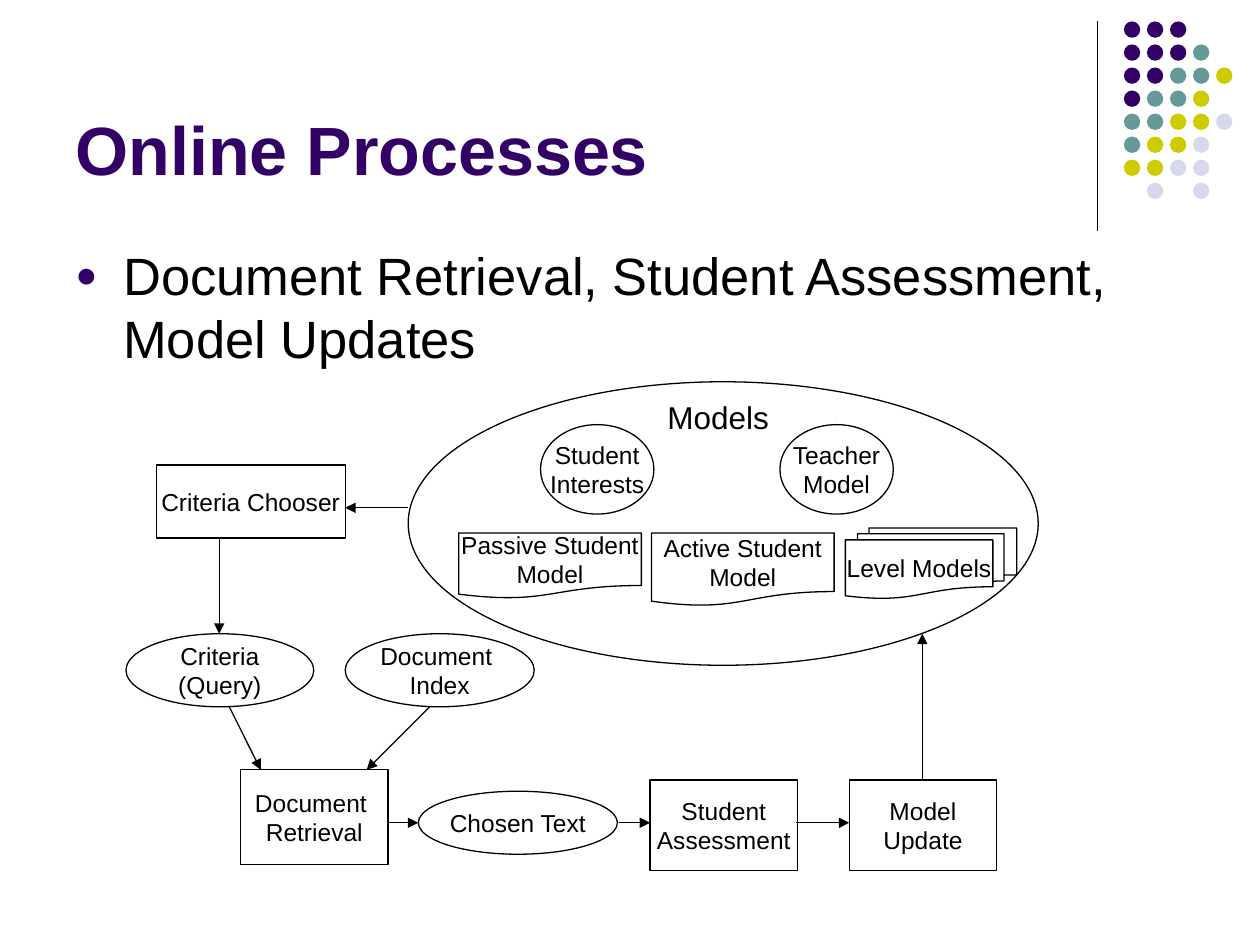
from lxml import etree
from pptx import Presentation
from pptx.dml.color import RGBColor
from pptx.enum import shapes, text
from pptx.oxml import ns
from pptx.util import Inches, Pt

PURPLE = RGBColor(0x33, 0x00, 0x66)
TEAL = RGBColor(0x66, 0x99, 0x99)
YELLOW = RGBColor(0xCC, 0xCC, 0x00)
LAVENDER = RGBColor(0xD8, 0xD8, 0xEC)
BLACK = RGBColor(0, 0, 0)
WHITE = RGBColor(0xFF, 0xFF, 0xFF)

SHAPE = shapes.MSO_SHAPE
OVAL, BOX, DOCUMENT = SHAPE.OVAL, SHAPE.RECTANGLE, SHAPE.FLOWCHART_DOCUMENT

DOT_COLORS = {"P": PURPLE, "T": TEAL, "Y": YELLOW, "L": LAVENDER}
DOT_ROWS = ["PPP", "PPPT", "PPTTY", "PTTY", "TTYYL", "TYYL", "YYLL", " L L"]

# Kind, left, top, width, height, label
MODELS = [
    (OVAL, 3.24, 3.03, 5, 2.25, ""),
    (DOCUMENT, 5.17, 4.23, 1.45, 0.58, "Active Student\nModel"),
    (SHAPE.FLOWCHART_MULTIDOCUMENT, 6.71, 4.19, 1.36, 0.56, "Level Models"),
    (OVAL, 6.19, 3.37, 0.9, 0.71, "Teacher\nModel"),
    (OVAL, 4.29, 3.37, 0.9, 0.71, "Student\nInterests"),
    (DOCUMENT, 3.64, 4.23, 1.45, 0.52, "Passive Student\nModel"),
]
PROCESS_STEPS = [
    (BOX, 1.91, 6.11, 1.17, 0.75, "Document \nRetrieval"),
    (BOX, 1.24, 3.69, 1.5, 0.58, "Criteria Chooser"),
    (OVAL, 2.74, 5.03, 1.5, 0.58, "Document \nIndex"),
    (OVAL, 1, 5.03, 1.49, 0.58, "Criteria\n(Query)"),
    (OVAL, 3.32, 6.28, 1.58, 0.5, "Chosen Text"),
    (BOX, 5.16, 6.19, 1.17, 0.72, "Student\nAssessment"),
    (BOX, 6.74, 6.19, 1.17, 0.72, "Model\nUpdate"),
]
# Start x, start y, end x, end y
FLOWS = [
    (3.24, 4.03, 2.74, 4.03),
    (1.74, 4.28, 1.74, 5.03),
    (1.82, 5.61, 2.07, 6.11),
    (3.41, 5.61, 2.91, 6.11),
    (3.07, 6.53, 3.32, 6.53),
    (4.91, 6.53, 5.16, 6.53),
    (6.32, 6.53, 6.74, 6.53),
    (7.32, 6.19, 7.32, 5.03),
]


def write(frame, wording, size, color=BLACK, bold=False,
          align=text.PP_ALIGN.LEFT, anchor=text.MSO_ANCHOR.TOP, wrap=True):
    frame.text = wording
    frame.word_wrap = wrap
    frame.auto_size = text.MSO_AUTO_SIZE.NONE
    frame.vertical_anchor = anchor
    for paragraph in frame.paragraphs:
        paragraph.alignment = align
        for run in paragraph.runs:
            run.font.name = "Arial"
            run.font.size = Pt(size)
            run.font.bold = bold
            run.font.color.rgb = color


def add_title(slide, wording):
    title = slide.shapes.title
    title.left, title.top = Inches(0.5), Inches(0.13)
    title.width, title.height = Inches(8.25), Inches(1.42)
    write(title.text_frame, wording, 39, PURPLE, bold=True,
          anchor=text.MSO_ANCHOR.BOTTOM)


def add_label(slide, left, top, width, height, wording, size, space_before, **style):
    label = slide.shapes.add_textbox(*map(Inches, (left, top, width, height)))
    write(label.text_frame, wording, size, **style)
    paragraph = label.text_frame.paragraphs[0]
    paragraph.space_before = Pt(space_before)
    return paragraph


def add_bullet(paragraph):
    properties = paragraph._p.get_or_add_pPr()
    properties.set("marL", str(Inches(0.38)))
    properties.set("indent", str(Inches(-0.38)))
    color = etree.SubElement(properties, ns.qn("a:buClr"))
    etree.SubElement(color, ns.qn("a:srgbClr"), val=str(PURPLE))
    etree.SubElement(properties, ns.qn("a:buSzPct"), val="70000")
    etree.SubElement(properties, ns.qn("a:buFont"), typeface="Arial")
    etree.SubElement(properties, ns.qn("a:buChar"), char="●")


def add_node(slide, kind, left, top, width, height, label=""):
    node = slide.shapes.add_shape(kind, *map(Inches, (left, top, width, height)))
    node.shadow.inherit = False
    node.fill.background()
    node.line.color.rgb = BLACK
    node.line.width = Pt(0.75)
    if label:
        write(node.text_frame, label, 14, align=text.PP_ALIGN.CENTER,
              anchor=text.MSO_ANCHOR.MIDDLE, wrap=False)
    return node


def add_line(slide, start_x, start_y, end_x, end_y, arrow=False):
    line = slide.shapes.add_connector(
        shapes.MSO_CONNECTOR.STRAIGHT,
        *map(Inches, (start_x, start_y, end_x, end_y)))
    line.line.color.rgb = BLACK
    line.line.width = Pt(0.75)
    if arrow:
        etree.SubElement(line.line._get_or_add_ln(), ns.qn("a:tailEnd"),
                         type="triangle")
    etree.SubElement(line._element.spPr, ns.qn("a:effectLst"))


def add_dot_pattern(slide):
    pitch = 1.28 / 7
    for row, codes in enumerate(DOT_ROWS):
        for column, code in enumerate(codes):
            if code in DOT_COLORS:
                dot = add_node(slide, OVAL, 8.92 + column * pitch,
                               0.17 + row * pitch, 0.13, 0.13)
                dot.fill.solid()
                dot.fill.fore_color.rgb = DOT_COLORS[code]
                dot.line.fill.background()


def main():
    deck = Presentation()
    deck.slide_width, deck.slide_height = Inches(10), Inches(7.5)
    slide = deck.slides.add_slide(deck.slide_layouts[5])
    slide.background.fill.solid()
    slide.background.fill.fore_color.rgb = WHITE

    # Corner decoration
    add_line(slide, 8.71, 0.17, 8.71, 1.83)
    add_dot_pattern(slide)

    # Heading and summary
    add_title(slide, "Online Processes")
    summary = add_label(
        slide, 0.5, 1.88, 9, 4.82,
        "Document Retrieval, Student Assessment, Model Updates", 30, 7.5)
    add_bullet(summary)

    # Process diagram
    for node in MODELS:
        add_node(slide, *node)
    add_label(slide, 5.02, 3.11, 1.36, 0.4, "Models", 18, 11.2,
              align=text.PP_ALIGN.CENTER)
    for step in PROCESS_STEPS:
        add_node(slide, *step)
    for flow in FLOWS:
        add_line(slide, *flow, arrow=True)

    deck.save("out.pptx")


if __name__ == "__main__":
    main()
